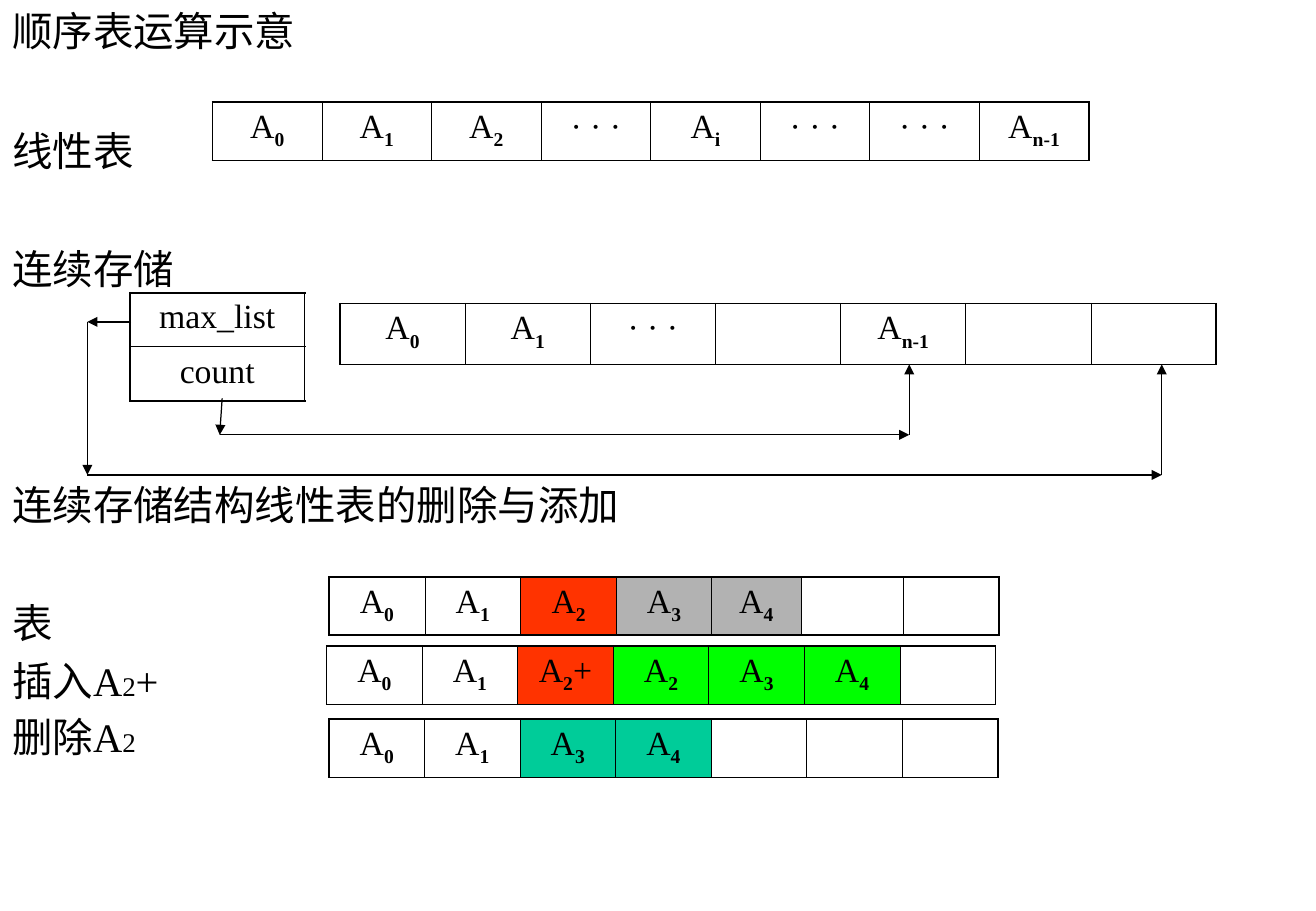
"""Build the slide on sequential list operations: storage, insertion and deletion."""
import dataclasses
import typing

import lxml.etree
import pptx
import pptx.dml.color
import pptx.enum.shapes
import pptx.enum.text
import pptx.oxml.ns
import pptx.util

Inches = pptx.util.Inches
Point = tuple[float, float]


@dataclasses.dataclass(frozen=True)
class Theme:
    font: str = "Times New Roman"
    ink: str = "000000"
    red: str = "FF3300"
    gray: str = "B2B2B2"
    green: str = "00FF00"
    teal: str = "00CC99"
    heading_size: int = 24
    cell_size: int = 20
    index_size: int = 16
    outer_border: float = 1.08
    inner_border: float = 0.45
    arrow_width: float = 0.75


THEME = Theme()


class Run(typing.NamedTuple):
    text: str
    subscript: bool = False
    size: int | None = None


class Cell(typing.NamedTuple):
    runs: tuple[Run, ...] = ()
    fill: str | None = None


class Line(typing.NamedTuple):
    runs: tuple[Run, ...]
    space_before: float


@dataclasses.dataclass(frozen=True)
class Grid:
    left: float
    top: float
    width: float
    row_height: float
    rows: list[list[Cell]]
    column_widths: tuple[float, ...] = ()


def plain(text: str) -> Cell:
    return Cell((Run(text),))


def item(index: str, fill: str | None = None, suffix: str = "") -> Cell:
    runs = (Run("A"), Run(index, subscript=True))
    return Cell(runs + ((Run(suffix),) if suffix else ()), fill)


DOTS = plain("· · ·")
EMPTY = Cell()

GRIDS = [
    Grid(1.75, 0.84, 7.22, 0.48,
         [[item("0"), item("1"), item("2"), DOTS, item("i"), DOTS, DOTS, item("n-1")]]),
    Grid(1.07, 2.41, 1.44, 0.445, [[plain("max_list")], [plain("count")]]),
    Grid(2.8, 2.5, 7.22, 0.5,
         [[item("0"), item("1"), DOTS, EMPTY, item("n-1"), EMPTY, EMPTY]]),
    Grid(2.71, 4.75, 5.51, 0.48,
         [[item("0"), item("1"), item("2", THEME.red), item("3", THEME.gray),
           item("4", THEME.gray), EMPTY, EMPTY]],
         (0.79, 0.79, 0.79, 0.78, 0.74, 0.84, 0.79)),
    Grid(2.69, 5.32, 5.51, 0.48,
         [[item("0"), item("1"), item("2", THEME.red, "+"), item("2", THEME.green),
           item("3", THEME.green), item("4", THEME.green), EMPTY]]),
    Grid(2.71, 5.92, 5.51, 0.48,
         [[item("0"), item("1"), item("3", THEME.teal), item("4", THEME.teal),
           EMPTY, EMPTY, EMPTY]]),
]

ARROW_PATHS: list[list[Point]] = [
    [(1.83, 3.28), (1.81, 3.58), (7.49, 3.58), (7.49, 3.0)],
    [(1.08, 2.65), (0.72, 2.65), (0.72, 3.91), (9.57, 3.91), (9.57, 3.0)],
]

SMALL_TWO = Run("2", size=THEME.index_size)
BODY_LINES = [
    Line((Run("线性表"),), 0),
    Line((Run("连续存储"),), 41),
    Line((Run("连续存储结构线性表的删除与添加"),), 111),
    Line((Run("表"),), 41),
    Line((Run("插入A"), SMALL_TWO, Run("+")), 6),
    Line((Run("删除A"), SMALL_TWO), 4),
]


def color(value: str) -> pptx.dml.color.RGBColor:
    return pptx.dml.color.RGBColor.from_string(value)


def write_runs(paragraph, runs: tuple[Run, ...], *, size: int,
               alignment=pptx.enum.text.PP_ALIGN.LEFT, space_before: float = 0) -> None:
    paragraph.alignment = alignment
    paragraph.space_before = pptx.util.Pt(space_before)
    for part in runs:
        run = paragraph.add_run()
        run.text = part.text
        run.font.name = THEME.font
        run.font.size = pptx.util.Pt(part.size or size)
        run.font.color.rgb = color(THEME.ink)
        run.font.bold = part.subscript
        if part.subscript:
            run._r.get_or_add_rPr().set("baseline", "-25000")


def place(shape, left: float, top: float, width: float, height: float) -> None:
    shape.left, shape.top = Inches(left), Inches(top)
    shape.width, shape.height = Inches(width), Inches(height)


def fill_placeholders(slide) -> None:
    title, body = slide.shapes.title, slide.placeholders[1]
    place(title, 0, 0, 9.21, 0.5)
    place(body, 0, 0.5, 10.56, 6.75)
    for shape in (title, body):
        shape.text_frame.auto_size = pptx.enum.text.MSO_AUTO_SIZE.NONE
    title.text_frame.vertical_anchor = pptx.enum.text.MSO_ANCHOR.MIDDLE
    write_runs(title.text_frame.paragraphs[0], (Run("顺序表运算示意"),),
               size=THEME.heading_size)
    frame = body.text_frame
    frame.vertical_anchor = pptx.enum.text.MSO_ANCHOR.TOP
    frame.margin_top = Inches(0.54)
    for number, line in enumerate(BODY_LINES):
        paragraph = frame.add_paragraph() if number else frame.paragraphs[0]
        properties = paragraph._p.get_or_add_pPr()
        properties.set("marL", "0")
        properties.set("indent", "0")
        lxml.etree.SubElement(properties, pptx.oxml.ns.qn("a:buNone"))
        write_runs(paragraph, line.runs, size=THEME.heading_size,
                   space_before=line.space_before)


def draw_borders(cell, outer_sides: dict[str, bool]) -> None:
    properties = cell._tc.get_or_add_tcPr()
    for side, is_outer in outer_sides.items():
        width = THEME.outer_border if is_outer else THEME.inner_border
        border = lxml.etree.SubElement(properties, pptx.oxml.ns.qn(f"a:ln{side}"),
                                       w=str(int(pptx.util.Pt(width))))
        solid = lxml.etree.SubElement(border, pptx.oxml.ns.qn("a:solidFill"))
        lxml.etree.SubElement(solid, pptx.oxml.ns.qn("a:srgbClr"), val=THEME.ink)


def draw_grid(slide, grid: Grid) -> None:
    row_count, column_count = len(grid.rows), len(grid.rows[0])
    table = slide.shapes.add_table(
        row_count, column_count, Inches(grid.left), Inches(grid.top),
        Inches(grid.width), Inches(grid.row_height * row_count)).table
    table.first_row = table.horz_banding = False
    widths = grid.column_widths or (grid.width / column_count,) * column_count
    for column, width in zip(table.columns, widths):
        column.width = Inches(width)
    for row, contents in enumerate(grid.rows):
        table.rows[row].height = Inches(grid.row_height)
        for column, content in enumerate(contents):
            cell = table.cell(row, column)
            draw_borders(cell, {"L": column == 0, "R": column == column_count - 1,
                                "T": row == 0, "B": row == row_count - 1})
            if content.fill:
                cell.fill.solid()
                cell.fill.fore_color.rgb = color(content.fill)
            else:
                cell.fill.background()
            write_runs(cell.text_frame.paragraphs[0], content.runs, size=THEME.cell_size,
                       alignment=pptx.enum.text.PP_ALIGN.CENTER)


def draw_arrow(slide, start: Point, end: Point) -> None:
    arrow = slide.shapes.add_connector(
        pptx.enum.shapes.MSO_CONNECTOR.STRAIGHT, *map(Inches, start + end))
    arrow.line.color.rgb = color(THEME.ink)
    arrow.line.width = pptx.util.Pt(THEME.arrow_width)
    properties = arrow._element.spPr
    outline = properties.find(pptx.oxml.ns.qn("a:ln"))
    lxml.etree.SubElement(outline, pptx.oxml.ns.qn("a:tailEnd"), type="triangle")
    lxml.etree.SubElement(properties, pptx.oxml.ns.qn("a:effectLst"))


def main() -> None:
    presentation = pptx.Presentation()
    presentation.slide_width, presentation.slide_height = Inches(10.84), Inches(7.5)
    slide = presentation.slides.add_slide(presentation.slide_layouts[1])
    fill_placeholders(slide)
    for grid in GRIDS:
        draw_grid(slide, grid)
    for points in ARROW_PATHS:
        for start, end in zip(points, points[1:]):
            draw_arrow(slide, start, end)
    presentation.save("out.pptx")


if __name__ == "__main__":
    main()
